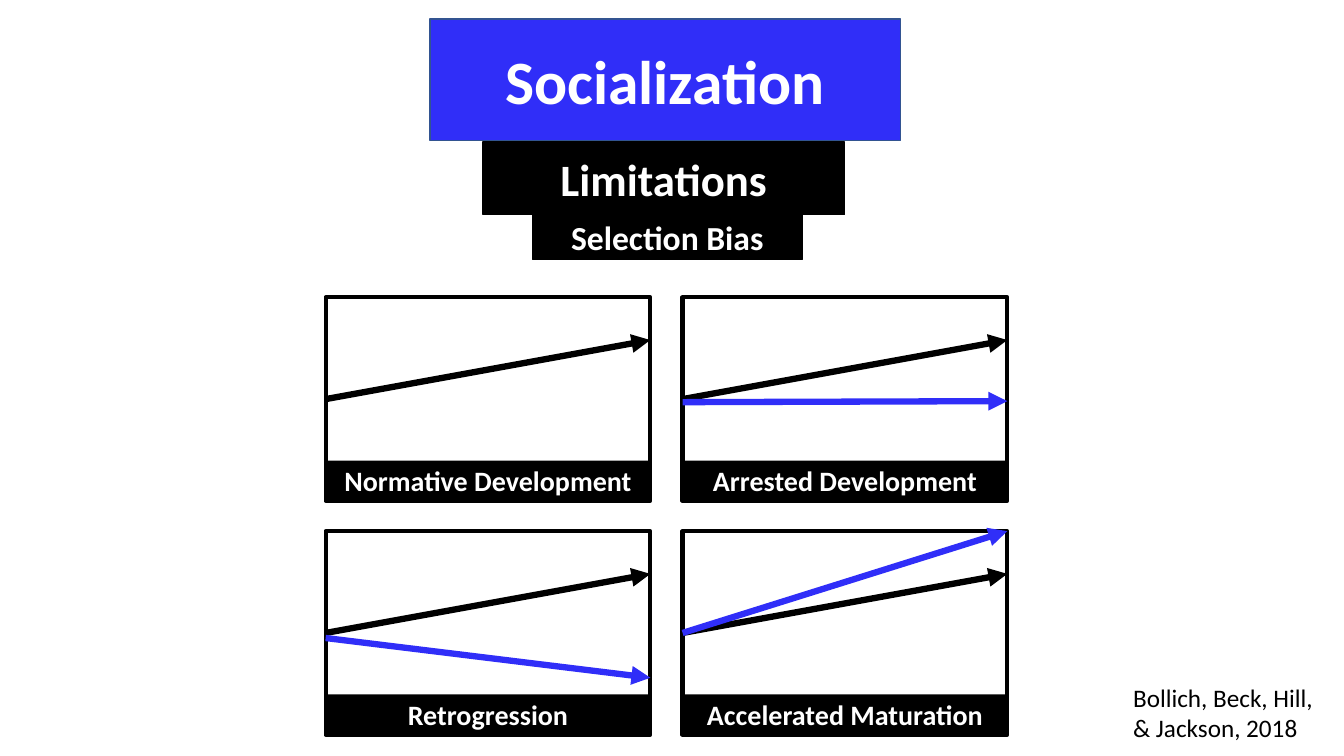
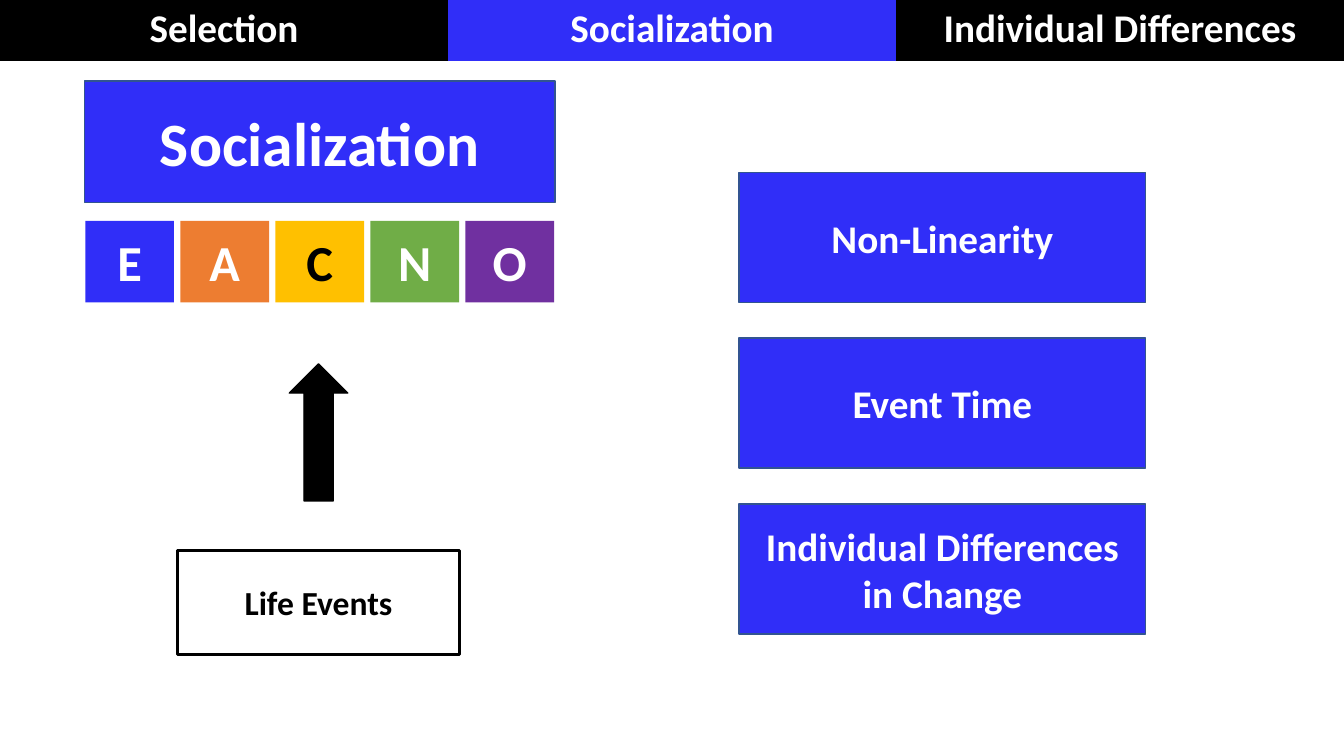
from dataclasses import dataclass

from lxml import etree
from pptx import Presentation
from pptx import util as u
from pptx.dml.color import RGBColor
from pptx.enum import shapes, text
from pptx.oxml import ns


@dataclass(frozen=True)
class Theme:
    font: str = "Calibri"
    black: str = "000000"
    white: str = "FFFFFF"
    blue: str = "302EF8"
    edge: str = "325491"
    orange: str = "ED7D31"
    yellow: str = "FFC000"
    green: str = "70AD47"
    purple: str = "7030A0"
    title: int = 44
    letter: int = 36
    heading: int = 32
    card: int = 28
    label: int = 24
    caption: int = 20
    citation: int = 18


theme = Theme()
presentation = Presentation()
presentation.slide_width = u.Inches(13.333)
presentation.slide_height = u.Inches(7.5)
column = presentation.slide_width / 100
row = presentation.slide_height / 100
title_only = presentation.slide_layouts[5]
rectangle = shapes.MSO_SHAPE.RECTANGLE


def write(frame, words, size, color=theme.white, bold=True, align=text.PP_ALIGN.CENTER):
    frame.word_wrap = True
    paragraph = frame.paragraphs[0]
    paragraph.alignment = align
    run = paragraph.add_run()
    run.text = words
    run.font.name = theme.font
    run.font.size = u.Pt(size)
    run.font.bold = bold
    run.font.color.rgb = RGBColor.from_string(color)


def block(shape, left, top, width, height, fill=None, edge=None, weight=1):
    shape.left, shape.width = round(left * column), round(width * column)
    shape.top, shape.height = round(top * row), round(height * row)
    shape.shadow.inherit = False
    if fill:
        shape.fill.solid()
        shape.fill.fore_color.rgb = RGBColor.from_string(fill)
    else:
        shape.fill.background()
    if edge:
        shape.line.color.rgb = RGBColor.from_string(edge)
        shape.line.width = u.Pt(weight)
    else:
        shape.line.fill.background()
    shape.text_frame.auto_size = text.MSO_AUTO_SIZE.NONE
    shape.text_frame.vertical_anchor = text.MSO_ANCHOR.MIDDLE
    return shape.text_frame


slides = []
for left, top in [(32, 2.5), (6.3, 10.7)]:
    slide = presentation.slides.add_slide(title_only)
    frame = block(slide.shapes.title, left, top, 35, 16.1, theme.blue, theme.edge)
    write(frame, "Socialization", theme.title)
    slides.append(slide)
limitations, overview = slides

for words, size, left, top, width, height in [
    ("Limitations", theme.heading, 35.93, 18.8, 26.93, 9.6),
    ("Selection Bias", theme.label, 39.6, 28.4, 20.1, 5.9),
]:
    shape = limitations.shapes.add_shape(rectangle, 0, 0, 0, 0)
    write(block(shape, left, top, width, height, theme.black, theme.black), words, size)

panel_width, panel_height, caption_height = 24.16, 26.93, 5.33
normal_path = (theme.black, 0.5, 0.21)
panels = [
    ("Normative Development", [normal_path]),
    ("Arrested Development", [normal_path, (theme.blue, 0.515, 0.51)]),
    ("Retrogression", [normal_path, (theme.blue, 0.525, 0.72)]),
    ("Accelerated Maturation", [normal_path, (theme.blue, 0.5, 0)]),
]
for index, (words, paths) in enumerate(panels):
    left = 24.23 + index % 2 * 26.56
    top = 39.33 + index // 2 * 30.93
    panel = limitations.shapes.add_shape(rectangle, 0, 0, 0, 0)
    block(panel, left, top, panel_width, panel_height, theme.white, theme.black, 3)
    for color, start, end in paths:
        arrow = limitations.shapes.add_connector(
            shapes.MSO_CONNECTOR.STRAIGHT,
            round(left * column),
            round((top + start * panel_height) * row),
            round((left + panel_width) * column),
            round((top + end * panel_height) * row),
        )
        arrow.line.color.rgb = RGBColor.from_string(color)
        arrow.line.width = u.Pt(4.5)
        etree.SubElement(arrow.line._get_or_add_ln(), ns.qn("a:tailEnd"), type="triangle")
        etree.SubElement(arrow._element.spPr, ns.qn("a:effectLst"))
    caption = limitations.shapes.add_shape(rectangle, 0, 0, 0, 0)
    caption_top = top + panel_height - caption_height
    frame = block(caption, left, caption_top, panel_width, caption_height, theme.black)
    write(frame, words, theme.caption)

citation = limitations.shapes.add_textbox(
    round(83.57 * column), round(89.6 * row), round(16.43 * column), round(9.47 * row)
)
write(citation.text_frame, "Bollich, Beck, Hill, & Jackson, 2018", theme.citation,
      theme.black, False, text.PP_ALIGN.LEFT)

sections = [
    ("Selection", theme.black),
    ("Socialization", theme.blue),
    ("Individual Differences", theme.black),
]
table = overview.shapes.add_table(
    1, len(sections), 0, 0, presentation.slide_width, round(8.13 * row)
).table
table.first_row = table.horz_banding = False
table._tbl.tblPr.find(ns.qn("a:tableStyleId")).text = "{2D5ABB26-0587-4C30-8999-92F81FD0307C}"
for cell, (words, color) in zip(table.iter_cells(), sections):
    cell.fill.solid()
    cell.fill.fore_color.rgb = RGBColor.from_string(color)
    write(cell.text_frame, words, theme.card)

traits = [
    ("E", theme.blue, theme.white),
    ("A", theme.orange, theme.white),
    ("C", theme.yellow, theme.black),
    ("N", theme.green, theme.white),
    ("O", theme.purple, theme.white),
]
for index, (letter, fill, color) in enumerate(traits):
    shape = overview.shapes.add_shape(rectangle, 0, 0, 0, 0)
    frame = block(shape, 6.35 + index * 7.07, 29.2, 6.6, 10.8, fill)
    write(frame, letter, theme.letter, color)

arrow = overview.shapes.add_shape(shapes.MSO_SHAPE.UP_ARROW, 0, 0, 0, 0)
block(arrow, 21.53, 48.13, 4.35, 18.13, theme.black, theme.black)
events = overview.shapes.add_shape(rectangle, 0, 0, 0, 0)
frame = block(events, 13.2, 72.8, 21, 13.73, edge=theme.black, weight=2.25)
write(frame, "Life Events", theme.label, theme.black)

for index, words in enumerate(
    ["Non-Linearity", "Event Time", "Individual Differences in Change"]
):
    shape = overview.shapes.add_shape(rectangle, 0, 0, 0, 0)
    frame = block(shape, 55, 22.8 + index * 21.93, 30.23, 17.2, theme.blue, theme.edge)
    write(frame, words, theme.card)

presentation.save("out.pptx")
